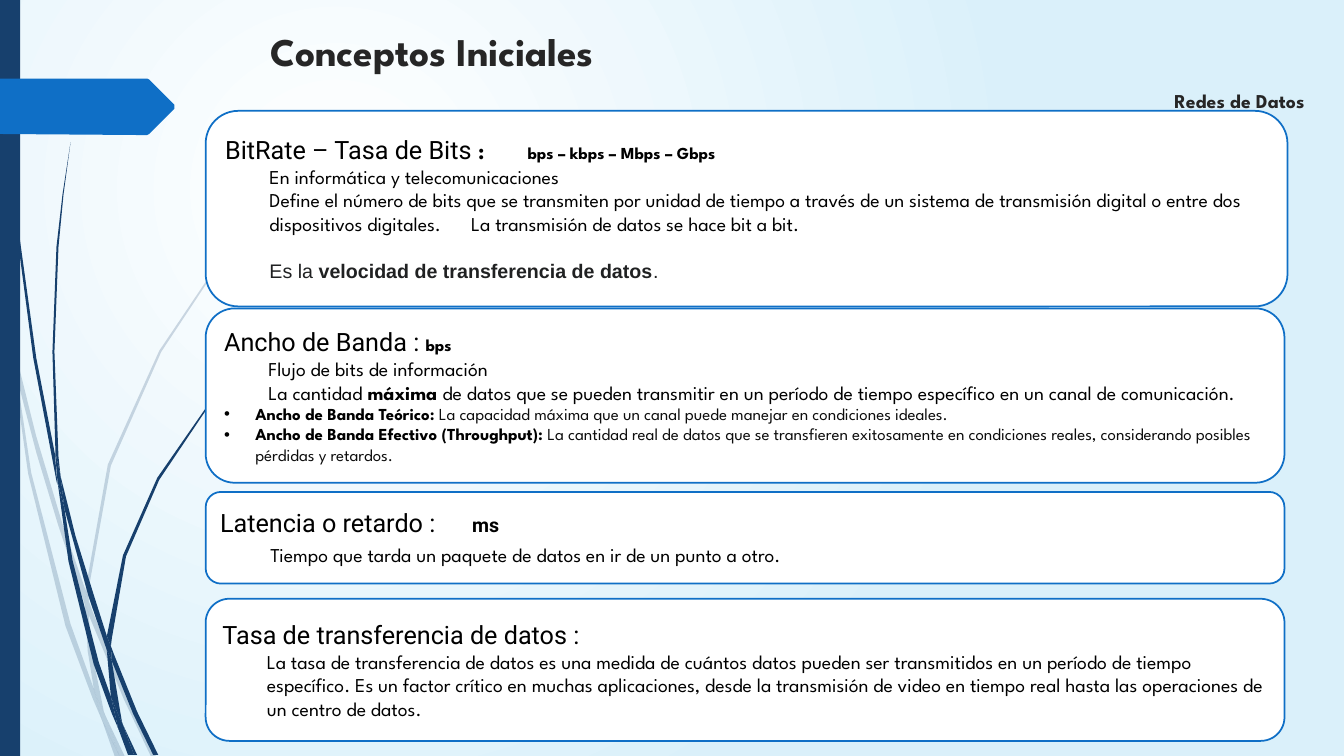
"""Build the slide on initial data network concepts."""
import pptx
import pptx.util
import pptx.dml.color
import pptx.enum.shapes
import pptx.enum.text
import pptx.oxml.ns
import lxml.etree

PX = 9144
SIZE = (1333, 750)
THEME = {
    "navy": "17406D", "blue": "0F6FC6", "white": "FFFFFF", "sky": "DAF0FA",
    "line": 1.25,
    "styles": {
        "title": ("League Spartan", 28, True, "262626"),
        "label": ("League Spartan", 14, True, "262626"),
        "heading": ("Roboto", 18, False, "000000"),
        "colon": ("League Spartan", 16, True, "000000"),
        "unit": ("League Spartan", 12, True, "000000"),
        "tab": ("Roboto", 18, True, "000000"),
        "delay": ("Roboto", 14, True, "000000"),
        "body": ("League Spartan", 14, False, "000000"),
        "strong": ("League Spartan", 14, True, "000000"),
        "speed": ("Arial", 14, False, "202122"),
        "speed strong": ("Arial", 14, True, "202122"),
        "term": ("League Spartan", 12, True, "000000"),
        "meaning": ("League Spartan", 12, False, "0D0D0D"),
    },
}
LABELS = [
    ((258, 22, 811, 53), "TOP", "title", "Conceptos Iniciales"),
    ((1155, 81, 164, 36), "BOTTOM", "label", "Redes de Datos"),
]
LAYOUTS = {"plain": (0, 0, 0), "inner": (44, 0, 0), "after gap": (44, 0, 17), "bullet": (31, -31, 0)}
CARDS = [
    ((204, 110, 1073, 194), [
        ("plain", [("BitRate – Tasa de Bits ", "heading"), (": \t", "colon"),
                   ("bps – kbps – Mbps – Gbps", "unit")]),
        ("inner", [("En informática y telecomunicaciones", "body")]),
        ("inner", [("Define el número de bits que se transmiten por unidad de tiempo a través de un "
                    "sistema de transmisión digital o entre dos dispositivos digitales. \t"
                    "La transmisión de datos se hace bit a bit.", "body")]),
        ("after gap", [("Es la ", "speed"), ("velocidad de transferencia de datos", "speed strong"),
                       (".", "speed")]),
    ]),
    ((204, 306, 1070, 173), [
        ("plain", [("Ancho de Banda :", "heading"), (" ", "colon"), ("bps", "unit")]),
        ("inner", [("Flujo de bits de información", "body")]),
        ("inner", [("La cantidad ", "body"), ("máxima ", "strong"),
                   ("de datos que se pueden transmitir en un período de tiempo específico "
                    "en un canal de comunicación.", "body")]),
        ("bullet", [("Ancho de Banda Teórico:", "term"),
                    (" La capacidad máxima que un canal puede manejar en condiciones ideales.", "meaning")]),
        ("bullet", [("Ancho de Banda Efectivo (Throughput):", "term"),
                    (" La cantidad real de datos que se transfieren exitosamente en condiciones "
                     "reales, considerando posibles pérdidas y retardos.", "meaning")]),
    ]),
    ((204, 488, 1070, 91), [
        ("plain", [("Latencia o retardo :", "heading"), ("\t", "tab"), ("ms", "delay")]),
        ("plain", [("\t", "heading"),
                   ("Tiempo que tarda un paquete de datos en ir de un punto a otro.", "body")]),
    ]),
    ((204, 594, 1070, 141), [
        ("plain", [("Tasa de transferencia de datos :", "heading")]),
        ("inner", [("La tasa de transferencia de datos es una medida de cuántos datos pueden ser "
                    "transmitidos en un período de tiempo específico. Es un factor crítico en muchas "
                    "aplicaciones, desde la transmisión de video en tiempo real hasta las operaciones "
                    "de un centro de datos.", "body")]),
    ]),
]
PALE_GRASS = [
    [(11, 350), (9, 322), (0, 282), (0, 299), (10, 344)],
    [(58, 522), (84, 599), (85, 586), (62, 520), (36, 433), (14, 345), (17, 376), (36, 449)],
    [(92, 607), (88, 596), (88, 610), (123, 694), (150, 751), (155, 751), (127, 692)],
    [(119, 751), (124, 751), (105, 711)],
    [(93, 683), (70, 619), (31, 469), (17, 376), (11, 350), (28, 470), (65, 621), (92, 693),
     (101, 714), (99, 707)],
    [(84, 599), (87, 646), (93, 683), (96, 692), (105, 711), (103, 706), (91, 646), (88, 610), (88, 608)],
    [(88, 584), (110, 462), (160, 349), (229, 245), (268, 198), (290, 175), (312, 154), (312, 153),
     (289, 175), (268, 197), (228, 244), (158, 348), (107, 461), (85, 584), (85, 586), (88, 596)],
    [(101, 714), (114, 751), (119, 751)],
    [(88, 608), (88, 610), (88, 596), (85, 586), (84, 599)],
    [(96, 692), (93, 683), (99, 707), (101, 714), (119, 751), (105, 711)],
]
DARK_GRASS = [
    [(7, 110), (17, 233), (33, 355), (56, 477), (57, 481), (55, 457), (55, 453), (36, 355), (19, 232),
     (8, 109), (5, 48), (4, 0), (3, 0), (4, 48)],
    [(88, 592), (106, 645), (106, 633), (106, 631), (93, 590), (75, 532), (60, 472), (64, 505)],
    [(113, 649), (110, 641), (111, 656), (132, 708), (152, 749), (157, 749), (136, 706)],
    [(110, 691), (98, 657), (72, 556), (64, 505), (57, 477), (68, 557), (93, 659), (111, 708),
     (117, 722), (116, 717)],
    [(60, 472), (58, 453), (54, 349), (58, 245), (63, 193), (70, 141), (62, 193), (56, 245), (52, 349),
     (55, 449)],
    [(133, 749), (136, 749), (122, 719)],
    [(57, 477), (64, 505), (60, 472), (55, 449), (55, 453)],
    [(111, 633), (125, 552), (158, 476), (205, 406), (231, 374), (245, 359), (261, 344), (260, 344),
     (245, 358), (231, 373), (204, 405), (156, 474), (122, 551), (106, 631), (110, 641)],
    [(117, 722), (127, 749), (131, 749)],
    [(106, 645), (110, 691), (116, 706), (122, 719), (121, 716), (111, 656), (109, 651)],
    [(106, 645), (109, 651), (111, 656), (110, 641), (106, 631), (106, 633)],
    [(116, 706), (110, 691), (116, 717), (117, 722), (130, 749), (133, 749), (122, 719)],
]
ARROW = [(173, 108), (148, 133), (146, 134), (136, 134), (0, 133), (0, 78), (146, 78), (148, 79), (173, 104)]
qn = pptx.oxml.ns.qn


def rgb(name):
    return pptx.dml.color.RGBColor.from_string(THEME.get(name, name))


def emu(frame):
    return [value * PX for value in frame]


def paint(shape, color):
    shape.shadow.inherit = False
    shape.fill.solid()
    shape.fill.fore_color.rgb = rgb(color)
    shape.line.fill.background()


def add_outline(shapes, points, color, alpha=100):
    builder = shapes.build_freeform(*points[0], scale=PX)
    builder.add_line_segments(points[1:], close=True)
    shape = builder.convert_to_shape()
    paint(shape, color)
    if alpha < 100:
        tint = next(shape.element.spPr.iter(qn("a:srgbClr")))
        lxml.etree.SubElement(tint, qn("a:alpha")).set("val", str(alpha * 1000))


def add_span(para, text, style):
    span = para.add_run()
    span.text = text
    font, size, bold, color = THEME["styles"][style]
    span.font.name = font
    span.font.size = pptx.util.Pt(size)
    span.font.bold = bold
    span.font.color.rgb = rgb(color)


def add_card(page, frame, paragraphs):
    card = page.shapes.add_shape(pptx.enum.shapes.MSO_SHAPE.ROUNDED_RECTANGLE, *emu(frame))
    paint(card, "white")
    card.line.color.rgb = rgb("blue")
    card.line.width = pptx.util.Pt(THEME["line"])
    box = card.text_frame
    box.word_wrap = True
    box.vertical_anchor = pptx.enum.text.MSO_ANCHOR.MIDDLE
    for index, (layout, spans) in enumerate(paragraphs):
        para = box.add_paragraph() if index else box.paragraphs[0]
        para.alignment = pptx.enum.text.PP_ALIGN.LEFT
        margin, indent, gap = LAYOUTS[layout]
        if gap:
            para.space_before = pptx.util.Pt(gap)
        props = para._p.get_or_add_pPr()
        props.set("marL", str(margin * PX))
        props.set("indent", str(indent * PX))
        if layout == "bullet":
            lxml.etree.SubElement(props, qn("a:buFont")).set("typeface", "Arial")
            lxml.etree.SubElement(props, qn("a:buChar")).set("char", "•")
        for text, style in spans:
            add_span(para, text, style)


def add_label(page, frame, anchor, style, text):
    box = page.shapes.add_textbox(*emu(frame)).text_frame
    box.word_wrap = False
    box.vertical_anchor = pptx.enum.text.MSO_ANCHOR[anchor]
    add_span(box.paragraphs[0], text, style)


def set_background(page):
    fill = page.background.fill
    fill.gradient()
    for stop, (position, color) in zip(fill.gradient_stops, [(0, "white"), (0.9, "sky")]):
        stop.position = position
        stop.color.rgb = rgb(color)
    linear = next(page.element.iter(qn("a:lin")))
    radial = lxml.etree.Element(qn("a:path"), {"path": "circle"})
    focus = lxml.etree.SubElement(radial, qn("a:fillToRect"))
    for side, percent in zip("ltrb", (50, 50, 100, 100)):
        focus.set(side, str(percent * 1000))
    linear.getparent().replace(linear, radial)


def main():
    deck = pptx.Presentation()
    deck.slide_width, deck.slide_height = emu(SIZE)
    page = deck.slides.add_slide(deck.slide_layouts[6])
    set_background(page)
    for blades, alpha in ((PALE_GRASS, 20), (DARK_GRASS, 100)):
        group = page.shapes.add_group_shape()
        for points in blades:
            add_outline(group.shapes, points, "navy", alpha)
    band = page.shapes.add_shape(pptx.enum.shapes.MSO_SHAPE.RECTANGLE, *emu((0, 0, 20, 750)))
    paint(band, "navy")
    add_outline(page.shapes, ARROW, "blue")
    for frame, paragraphs in CARDS:
        add_card(page, frame, paragraphs)
    for label in LABELS:
        add_label(page, *label)
    deck.save("out.pptx")


if __name__ == "__main__":
    main()
